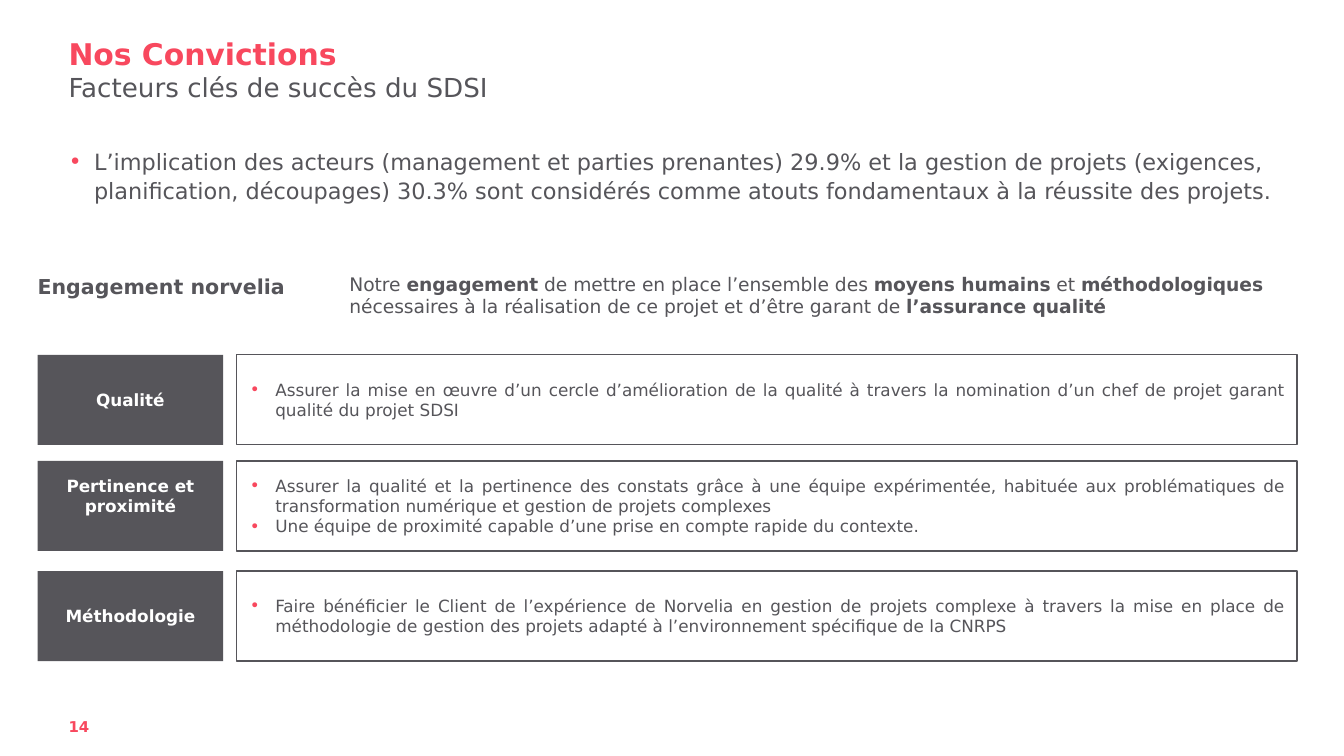
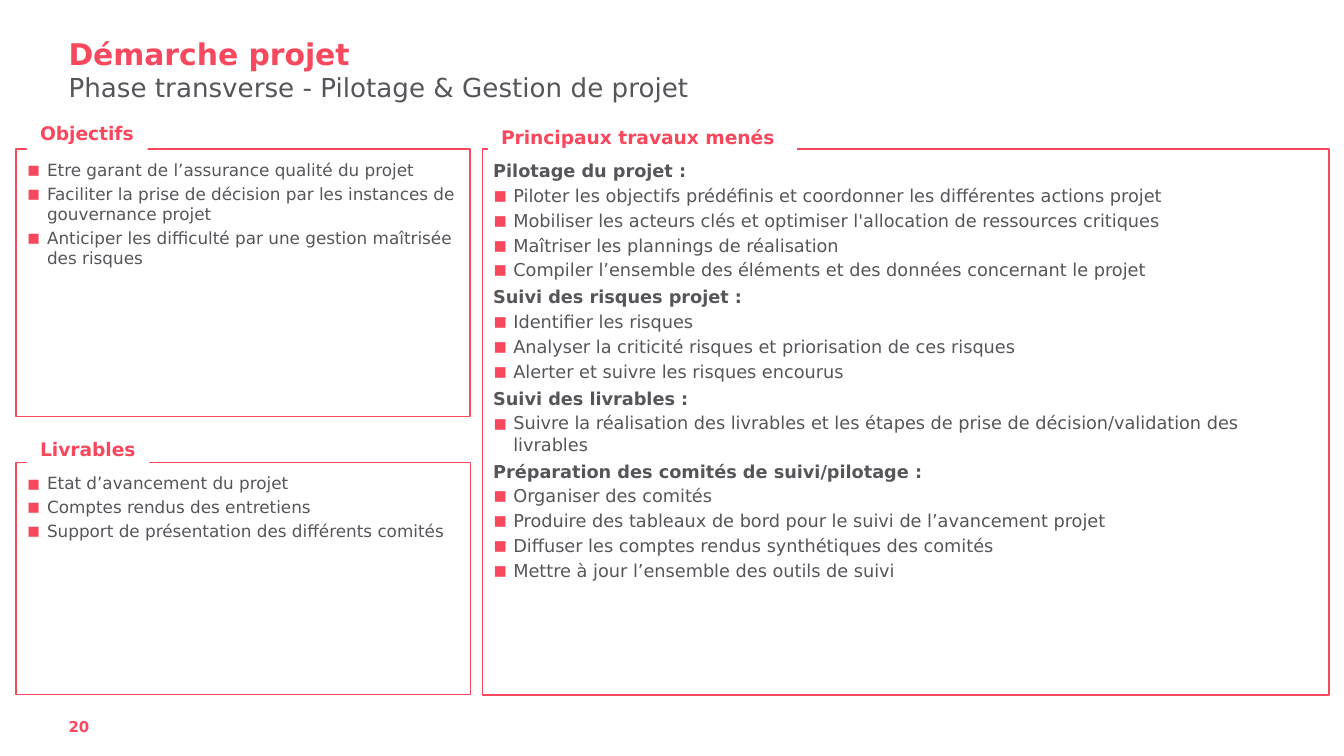
import pptx
import pptx.util
import pptx.dml.color
import pptx.enum.shapes
import pptx.enum.text
import lxml.etree

Inches, Pt = pptx.util.Inches, pptx.util.Pt
ALIGN = pptx.enum.text.PP_ALIGN
ANCHOR = pptx.enum.text.MSO_ANCHOR
RECT = pptx.enum.shapes.MSO_SHAPE.RECTANGLE

FONT = "DejaVu Sans"
RED, GREY, WHITE = "F8485E", "56555A", "FFFFFF"
NONE = (0, 0, 0, 0)
INSET = (0.1, 0.05, 0.1, 0.05)

LEAD = ("L’implication des acteurs (management et parties prenantes) 29.9% et la gestion de projets "
        "(exigences, planification, découpages) 30.3% sont considérés comme atouts fondamentaux "
        "à la réussite des projets.")
PLEDGE = ("Notre *engagement* de mettre en place l’ensemble des *moyens humains* et *méthodologiques* "
          "nécessaires à la réalisation de ce projet et d’être garant de *l’assurance qualité*")
ROWS = [
    ("Qualité", 2.64, 0.05, [
        "Assurer la mise en œuvre d’un cercle d’amélioration de la qualité à travers la nomination "
        "d’un chef de projet garant qualité du projet SDSI"]),
    ("Pertinence et proximité", 3.43, 0.2, [
        "Assurer la qualité et la pertinence des constats grâce à une équipe expérimentée, habituée "
        "aux problématiques de transformation numérique et gestion de projets complexes",
        "Une équipe de proximité capable d’une prise en compte rapide du contexte."]),
    ("Méthodologie", 4.25, 0.05, [
        "Faire bénéficier le Client de l’expérience de Norvelia en gestion de projets complexe à "
        "travers la mise en place de méthodologie de gestion des projets adapté à l’environnement "
        "spécifique de la CNRPS"]),
]
GOALS = [
    "Etre garant de l’assurance qualité du projet",
    "Faciliter la prise de décision par les instances de gouvernance projet",
    "Anticiper les difficulté par une gestion maîtrisée des risques",
]
OUTPUTS = [
    "Etat d’avancement du projet",
    "Comptes rendus des entretiens",
    "Support de présentation des différents comités",
]
TASKS = [
    ("Pilotage du projet :", [
        "Piloter les objectifs prédéfinis et coordonner les différentes actions projet",
        "Mobiliser les acteurs clés et optimiser l'allocation de ressources critiques",
        "Maîtriser les plannings de réalisation",
        "Compiler l’ensemble des éléments et des données concernant le projet"]),
    ("Suivi des risques projet :", [
        "Identifier les risques",
        "Analyser la criticité risques et priorisation de ces risques",
        "Alerter et suivre les risques encourus"]),
    ("Suivi des livrables :", [
        "Suivre la réalisation des livrables et les étapes de prise de décision/validation des livrables"]),
    ("Préparation des comités de suivi/pilotage :", [
        "Organiser des comités",
        "Produire des tableaux de bord pour le suivi de l’avancement projet",
        "Diffuser les comptes rendus synthétiques des comités",
        "Mettre à jour l’ensemble des outils de suivi"]),
]
PANELS = [
    ((0.12, 1.11, 3.38, 1.99), 1, 9, [(None, GOALS)], "Objectifs", (0.2, 0.86, 0.9, 0.27)),
    ((3.59, 1.11, 6.3, 4.06), 1, 9.5, TASKS, "Principaux travaux menés", (3.63, 0.89, 2.3, 0.27)),
    ((0.12, 3.44, 3.38, 1.73), 0.75, 9, [(None, OUTPUTS)], "Livrables", (0.2, 3.21, 0.91, 0.27)),
]


def rgb(code):
    return pptx.dml.color.RGBColor.from_string(code)


def frame(shape, inset, anchor=ANCHOR.TOP, wrap=True):
    text = shape.text_frame
    text.word_wrap = wrap
    text.vertical_anchor = anchor
    text.margin_left, text.margin_top, text.margin_right, text.margin_bottom = map(Inches, inset)
    return text


def box(slide, at, inset=NONE, anchor=ANCHOR.TOP):
    return frame(slide.shapes.add_textbox(*map(Inches, at)), inset, anchor)


def rect(slide, at, fill=None, line=None, width=1, inset=INSET, anchor=ANCHOR.MIDDLE, wrap=True):
    shape = slide.shapes.add_shape(RECT, *map(Inches, at))
    shape.shadow.inherit = False
    if fill:
        shape.fill.solid()
        shape.fill.fore_color.rgb = rgb(fill)
    else:
        shape.fill.background()
    if line:
        shape.line.color.rgb = rgb(line)
        shape.line.width = Pt(width)
    else:
        shape.line.fill.background()
    return frame(shape, inset, anchor, wrap)


def mark(para, char, indent, scale=100):
    props = para._p.get_or_add_pPr()
    props.set("marL", str(Inches(indent)))
    props.set("indent", str(-Inches(indent)))

    def add(parent, tag, **attrs):
        name = pptx.oxml.ns.qn("a:" + tag)
        return lxml.etree.SubElement(parent, name, attrs)

    add(add(props, "buClr"), "srgbClr", val=RED)
    add(props, "buSzPct", val=str(scale * 1000))
    add(props, "buFont", typeface=FONT)
    add(props, "buChar", char=char)


def write(text, words, size, color=GREY, bold=False, align=ALIGN.LEFT, bullet=None, before=0):
    first = text.paragraphs[0]
    fresh = not first.runs
    para = first if fresh else text.add_paragraph()
    if bullet:
        mark(para, *bullet)
    para.alignment = align
    if before and not fresh:
        para.space_before = Pt(before)
    for i, part in enumerate(words.split("*")):
        if part:
            run = para.add_run()
            run.text = part
            run.font.name = FONT
            run.font.size = Pt(size)
            run.font.bold = bold or i % 2 == 1
            run.font.color.rgb = rgb(color)
    return para


def start(deck, title, sub, page):
    slide = deck.slides.add_slide(deck.slide_layouts[6])
    write(box(slide, (0.51, 0, 8.98, 0.53), anchor=ANCHOR.BOTTOM), title, 16, RED, True)
    write(box(slide, (0.51, 5.29, 0.71, 0.33), (0, 0.05, 0, 0)), page, 8, RED, True)
    write(box(slide, (0.51, 0.53, 8.98, 0.51)), sub, 14)
    return slide


def beliefs(deck):
    slide = start(deck, "Nos Convictions", "Facteurs clés de succès du SDSI", "14")
    dot = ("•", 0.19)
    lead = write(box(slide, (0.51, 1.08, 8.98, 0.79)), LEAD, 12, bullet=dot)
    lead.line_spacing = 1.1
    write(box(slide, (2.6, 2.03, 6.89, 0.34)), PLEDGE, 10)
    write(box(slide, (0.28, 2.04, 2.33, 0.19)), "Engagement norvelia", 11, bold=True)
    for name, top, base, points in ROWS:
        label = rect(slide, (0.28, top, 1.38, 0.67), fill=GREY, inset=(0.1, 0.05, 0.1, base))
        write(label, name, 9, WHITE, True, ALIGN.CENTER)
        body = rect(slide, (1.76, top, 7.89, 0.67), line=GREY, width=0.75)
        for point in points:
            write(body, point, 9, align=ALIGN.JUSTIFY, bullet=dot)


def method(deck):
    slide = start(deck, "Démarche projet", "Phase transverse - Pilotage & Gestion de projet", "20")
    for at, width, size, groups, name, spot in PANELS:
        body = rect(slide, at, line=RED, width=width, inset=(0.08,) * 4, anchor=ANCHOR.TOP)
        for head, points in groups:
            if head:
                write(body, head, size, bold=True, align=ALIGN.JUSTIFY, before=3)
            for point in points:
                write(body, point, size, bullet=("▪", 0.15, 120), before=size * 0.2)
        label = rect(slide, spot, fill=WHITE, anchor=ANCHOR.TOP, wrap=False)
        write(label, name, 10, RED, True)


def main():
    deck = pptx.Presentation()
    deck.slide_width = Inches(10)
    deck.slide_height = deck.slide_width * 9 // 16
    beliefs(deck)
    method(deck)
    deck.save("out.pptx")


if __name__ == "__main__":
    main()
